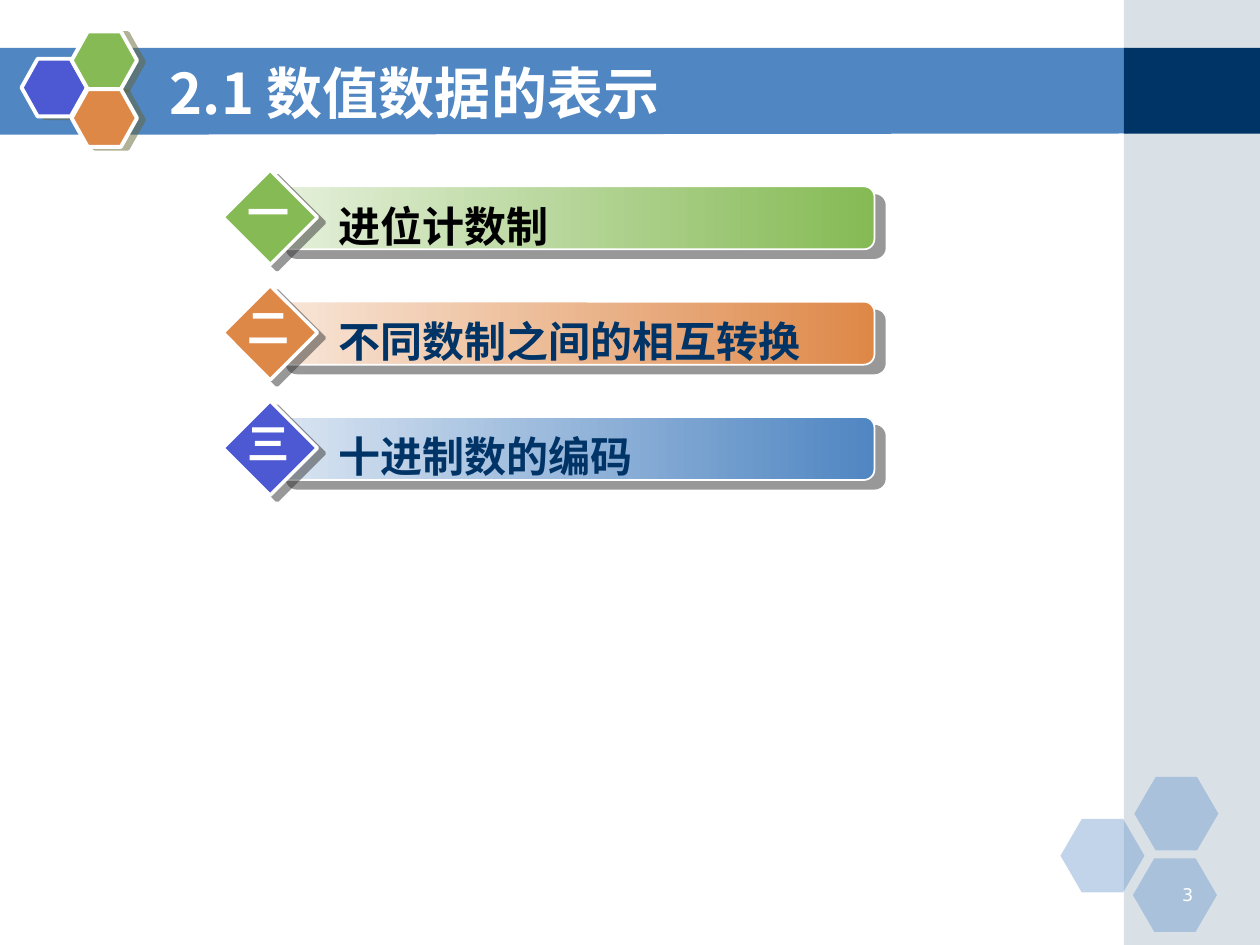
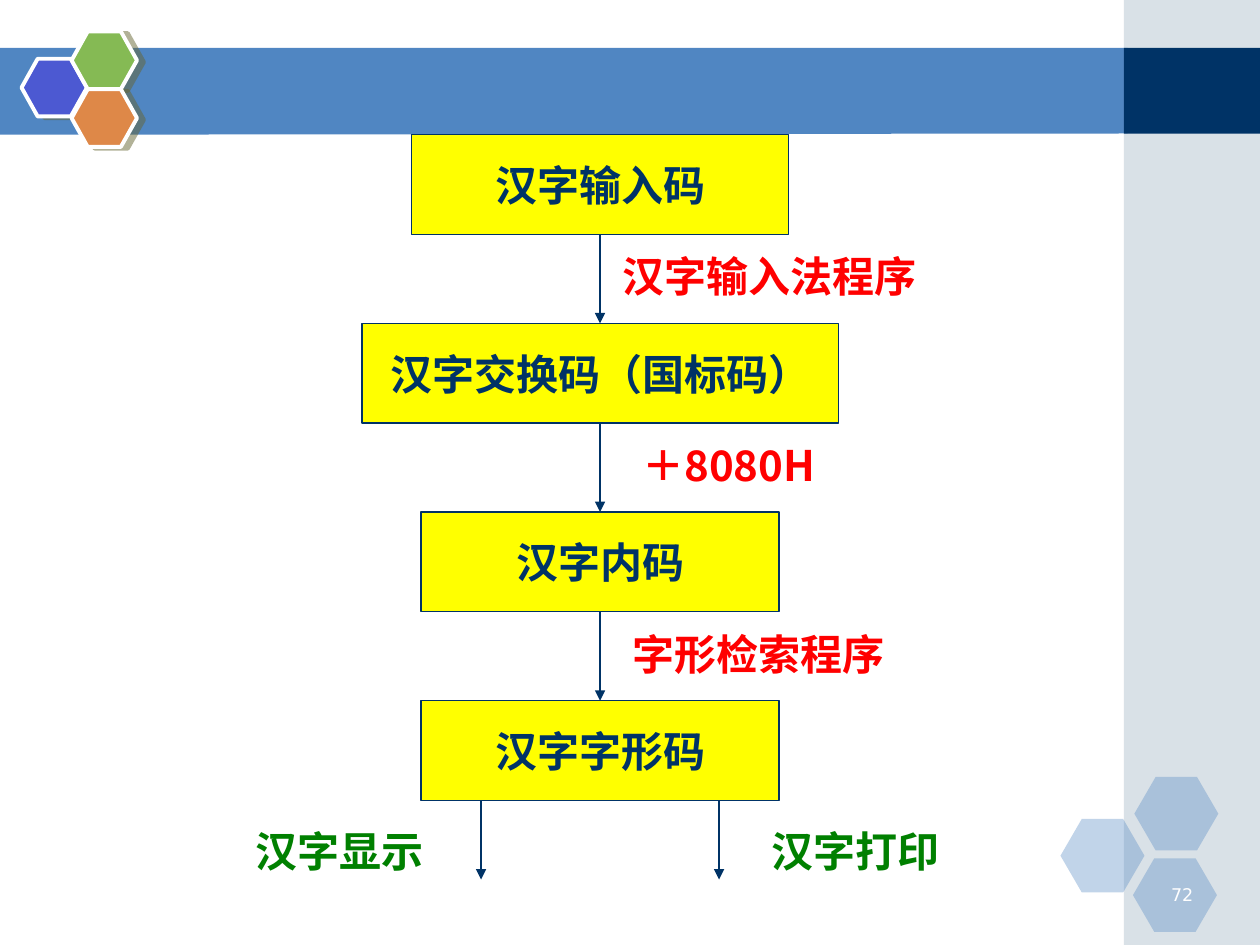
import pptx
import pptx.dml.color
import pptx.enum.shapes
import pptx.enum.text
import pptx.oxml
import pptx.oxml.ns
import pptx.util

Pt = pptx.util.Pt
RGB = pptx.dml.color.RGBColor
SHAPE = pptx.enum.shapes.MSO_SHAPE
ALIGN = pptx.enum.text.PP_ALIGN
ANCHOR = pptx.enum.text.MSO_ANCHOR
qn = pptx.oxml.ns.qn

WHITE = RGB(0xFF, 0xFF, 0xFF)
BLACK = RGB(0x00, 0x00, 0x00)
NAVY = RGB(0x00, 0x33, 0x66)
BLUE = RGB(0x50, 0x86, 0xC2)
PALE_BLUE = RGB(0xDA, 0xE5, 0xF2)
INDIGO = RGB(0x4C, 0x59, 0xD2)
GREEN = RGB(0x85, 0xBA, 0x54)
PALE_GREEN = RGB(0xE5, 0xF0, 0xDB)
ORANGE = RGB(0xDE, 0x88, 0x48)
PALE_ORANGE = RGB(0xF8, 0xE6, 0xD8)
GREY_BLUE = RGB(0xA0, 0xB5, 0xC4)
YELLOW = RGB(0xFF, 0xFF, 0x00)
RED = RGB(0xFF, 0x00, 0x00)
DARK_GREEN = RGB(0x00, 0x80, 0x00)
OLIVE = RGB(0x66, 0x66, 0x33)
CHARCOAL = RGB(0x33, 0x33, 0x33)

HEADING_FONT = "Noto Sans CJK SC"
NUMBER_FONT = "DejaVu Sans"


def add_xml(parent, tag, **attributes):
    child = parent.makeelement(qn(tag), attributes)
    parent.append(child)
    return child


class Deck:
    """Holds the presentation, its style and the current slide."""

    def __init__(self):
        self.presentation = pptx.Presentation()
        self.presentation.slide_width = Pt(720)
        self.presentation.slide_height = Pt(540)
        self.slide = None

    def new_slide(self, number, title=None):
        blank = self.presentation.slide_layouts[6]
        self.slide = self.presentation.slides.add_slide(blank)
        self.backdrop()
        self.text(str(number), 653, 501.8, 36, 18, WHITE, size=10,
                  font=NUMBER_FONT, bold=False, align=ALIGN.RIGHT)
        if title:
            self.text(title, 90, 30.2, 527.8, 44.6, WHITE, size=32,
                      anchor=ANCHOR.MIDDLE)

    def backdrop(self):
        # Title band and side panel
        self.outline([(-0.7, 27.4), (644.4, 27.4), (644.4, 76.3), (-0.7, 77)], BLUE)
        self.shape(SHAPE.RECTANGLE, 642.2, 0, 77.8, 540, GREY_BLUE, alpha=40)
        self.shape(SHAPE.RECTANGLE, 642.2, 27.4, 77.8, 49, NAVY)
        # Faint hexagons around the slide number
        for left, top in ((606, 468), (648.2, 444), (647.4, 490.5)):
            cell = self.shape(SHAPE.HEXAGON, left, top, 48, 42, BLUE, alpha=35)
            cell.adjustments[0] = 0.29
        # Hexagon emblem
        for left, top, color in ((12.3, 33.6, INDIGO), (40.9, 18, GREEN),
                                 (40.9, 51, ORANGE)):
            cell = self.shape(SHAPE.HEXAGON, left, top, 37.4, 33, color,
                              line=(WHITE, 2.25), shadow=(OLIVE, 4.1, 14))
            cell.adjustments[0] = 0.28

    def outline(self, points, color):
        corners = [(Pt(x), Pt(y)) for x, y in points]
        builder = self.slide.shapes.build_freeform(*corners[0])
        builder.add_line_segments(corners[1:], close=True)
        return self.paint(builder.convert_to_shape(), color)

    def shape(self, kind, left, top, width, height, fill, **style):
        shape = self.slide.shapes.add_shape(
            kind, Pt(left), Pt(top), Pt(width), Pt(height))
        return self.paint(shape, fill, **style)

    def paint(self, shape, fill, alpha=None, line=None, shadow=None):
        """fill is a colour, or a pair of colours for a gradient."""
        properties = shape._element.spPr
        if isinstance(fill, RGB):
            shape.fill.solid()
            shape.fill.fore_color.rgb = fill
        else:
            shape.fill.gradient()
            shape.fill.gradient_angle = 0
            for stop, color in zip(shape.fill.gradient_stops, fill):
                stop.color.rgb = color
        if alpha:
            add_xml(properties.find(".//" + qn("a:srgbClr")), "a:alpha",
                    val=str(alpha * 1000))
        if line:
            shape.line.color.rgb, shape.line.width = line[0], Pt(line[1])
        else:
            shape.line.fill.background()
        shape.shadow.inherit = False
        if shadow:
            color, distance, angle = shadow
            cast = add_xml(properties.find(qn("a:effectLst")), "a:outerShdw",
                           dist=str(Pt(distance)), dir=str(angle * 60000),
                           algn="ctr", rotWithShape="0")
            tint = add_xml(cast, "a:srgbClr", val=str(color))
            add_xml(tint, "a:alpha", val="50000")
        return shape

    def text(self, words, left, top, width, height, color, wrap=True,
             indent=0, **style):
        box = self.slide.shapes.add_textbox(
            Pt(left), Pt(top), Pt(width), Pt(height))
        self.set_words(box.text_frame, words, color, wrap=wrap, **style)
        box.text_frame.margin_left = Pt(7.2 + indent)

    def set_words(self, frame, words, color, size=24, font=HEADING_FONT,
                  bold=True, align=ALIGN.LEFT, anchor=ANCHOR.TOP, wrap=True):
        frame.text = words
        frame.word_wrap = wrap
        frame.vertical_anchor = anchor
        paragraph = frame.paragraphs[0]
        paragraph.alignment = align
        for run in paragraph.runs:
            run.font.size, run.font.bold, run.font.name = Pt(size), bold, font
            run.font.color.rgb = color
            add_xml(run._r.get_or_add_rPr(), "a:ea", typeface=font)

    def flow_box(self, words, center, top, width, height):
        box = self.shape(SHAPE.RECTANGLE, center - width / 2, top, width, height,
                         YELLOW, line=(NAVY, 0.75))
        self.set_words(box.text_frame, words, NAVY, align=ALIGN.CENTER,
                       anchor=ANCHOR.MIDDLE, wrap=False)
        return box

    def arrow(self, x, top, bottom, source=None, target=None):
        arrow = self.slide.shapes.add_connector(
            pptx.enum.shapes.MSO_CONNECTOR.STRAIGHT,
            Pt(x), Pt(top), Pt(x), Pt(bottom))
        if source:
            arrow.begin_connect(source, 2)
        if target:
            arrow.end_connect(target, 0)
        arrow.line.color.rgb, arrow.line.width = NAVY, Pt(0.75)
        add_xml(arrow.line._get_or_add_ln(), "a:tailEnd", type="triangle")
        add_xml(arrow._element.spPr, "a:effectLst")


def agenda_slide(deck):
    deck.new_slide(3, "2.1 数值数据的表示")
    topics = [
        ("一", "进位计数制", BLACK, (PALE_GREEN, GREEN), GREEN),
        ("二", "不同数制之间的相互转换", NAVY, (PALE_ORANGE, ORANGE), ORANGE),
        ("三", "十进制数的编码", NAVY, (PALE_BLUE, BLUE), INDIGO),
    ]
    for row, (numeral, topic, color, gradient, accent) in enumerate(topics):
        top = 97.2 + 65.9 * row
        deck.shape(SHAPE.ROUNDED_RECTANGLE, 157.7, top + 9.3, 342, 36, gradient,
                   line=(WHITE, 1), shadow=(CHARCOAL, 7.8, 40))
        deck.shape(SHAPE.DIAMOND, 127.4, top, 54, 54, accent,
                   line=(WHITE, 2), shadow=(CHARCOAL, 5, 37))
        deck.text(topic, 175.7, top + 13.7, 310, 36, color, indent=10.75)
        deck.text(numeral, 134.6, top + 5.8, 38.2, 36, WHITE,
                  align=ALIGN.CENTER, wrap=False)


def encoding_slide(deck):
    deck.new_slide(72)
    center, first_top, pitch, height = 342.9, 77, 107.8, 56.9

    # Chain of codes
    codes = [("汉字输入码", 215.3), ("汉字交换码（国标码）", 272.2),
             ("汉字内码", 204.5), ("汉字字形码", 204.5)]
    boxes = [deck.flow_box(code, center, first_top + pitch * i, width, height)
             for i, (code, width) in enumerate(codes)]

    # Conversion between neighbouring codes
    steps = [("汉字输入法程序", 348.5), ("＋8080H", 360), ("字形检索程序", 354.2)]
    for i, (step, left) in enumerate(steps):
        bottom = first_top + pitch * i + height
        deck.arrow(center, bottom, first_top + pitch * (i + 1),
                   boxes[i], boxes[i + 1])
        deck.text(step, left, bottom + 6, 193, 36, RED)

    # Outputs
    bottom = first_top + pitch * 3 + height
    for output, offset, left in (("汉字显示", -68, 139), ("汉字打印", 68, 433.5)):
        deck.arrow(center + offset, bottom, 502.6)
        deck.text(output, left, 468, 118.8, 36, DARK_GREEN)


def main():
    deck = Deck()
    agenda_slide(deck)
    encoding_slide(deck)
    deck.presentation.save("out.pptx")


if __name__ == "__main__":
    main()
